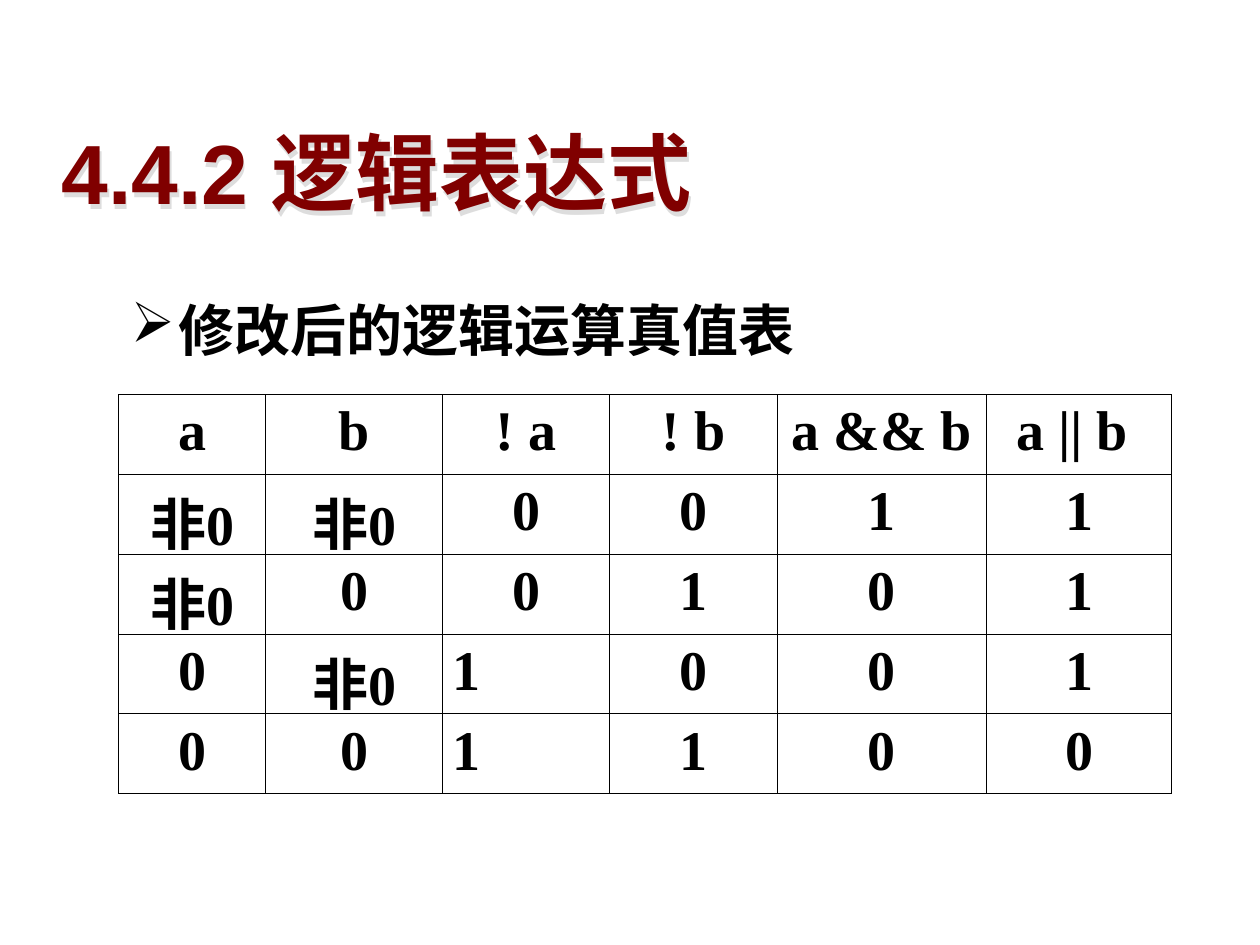
from lxml.etree import SubElement
from pptx import Presentation
from pptx.dml.color import RGBColor
from pptx.enum.text import MSO_ANCHOR, PP_ALIGN
from pptx.oxml import parse_xml
from pptx.oxml.ns import nsdecls, qn
from pptx.util import Inches, Pt

MAROON = RGBColor(0x80, 0x00, 0x00)
BLACK = RGBColor(0x00, 0x00, 0x00)
SHADOW = RGBColor(0xDD, 0xDD, 0xDD)

COLUMN_WIDTHS = (1.17, 1.4, 1.33, 1.33, 1.66, 1.47)
ROW_HEIGHT = 0.56
TRUTH_TABLE = (
    ("a", "b", "! a", "! b", "a && b", "a || b "),
    ("非0", "非0", "0", "0", "1", "1"),
    ("非0", "0", "0", "1", "0", "1"),
    ("0", "非0", "1", "0", "0", "1"),
    ("0", "0", "1", "1", "0", "0"),
)
JUSTIFIED_CELLS = {(3, 2), (4, 2)}


def add_bold_run(paragraph, text, size, font_name, color):
    """Add one bold run with the given font, size and colour."""
    run = paragraph.add_run()
    run.text = text
    run.font.size = Pt(size)
    run.font.name = font_name
    run.font.bold = True
    run.font.color.rgb = color


def place_title(title, left, top, width, height):
    """Move the title placeholder and give it shadowed text."""
    title.left, title.top, title.width, title.height = left, top, width, height
    title.text_frame.vertical_anchor = MSO_ANCHOR.MIDDLE
    paragraph = title.text_frame.paragraphs[0]
    paragraph.alignment = PP_ALIGN.LEFT
    add_bold_run(paragraph, "4.4.2 逻辑表达式", 48, "Arial", MAROON)
    title._element.spPr.append(parse_xml(
        f'<a:effectLst {nsdecls("a")}>'
        f'<a:outerShdw dist="{Inches(0.04)}" dir="4500000" algn="ctr" rotWithShape="0">'
        f'<a:srgbClr val="{SHADOW}"/></a:outerShdw></a:effectLst>'
    ))


def add_subtitle(slide, left, top, width, height):
    """Add the bulleted line above the table."""
    text_frame = slide.shapes.add_textbox(left, top, width, height).text_frame
    text_frame.word_wrap = True
    paragraph = text_frame.paragraphs[0]
    paragraph.line_spacing = 1.2
    properties = paragraph._p.get_or_add_pPr()
    properties.set("marL", str(Inches(0.38)))
    properties.set("indent", str(-Inches(0.38)))
    bullet_color = SubElement(properties, qn("a:buClr"))
    SubElement(bullet_color, qn("a:srgbClr"), val=str(BLACK))
    SubElement(properties, qn("a:buChar"), char="➢")
    add_bold_run(paragraph, "修改后的逻辑运算真值表", 32, "DejaVu Sans", BLACK)


def style_cell(cell):
    """Give a cell its margins, no fill and thin black borders."""
    cell.margin_left = cell.margin_right = Inches(0.08)
    cell.margin_top = cell.margin_bottom = Inches(0.05)
    cell.fill.background()
    properties = cell._tc.get_or_add_tcPr()
    for index, side in enumerate(("lnL", "lnR", "lnT", "lnB")):
        properties.insert(index, parse_xml(
            f'<a:{side} {nsdecls("a")} w="{Pt(0.45)}"><a:solidFill>'
            f'<a:srgbClr val="{BLACK}"/></a:solidFill></a:{side}>'
        ))


def add_truth_table(slide, left, top):
    """Add the truth table of the logical operators."""
    width = Inches(sum(COLUMN_WIDTHS))
    height = Inches(ROW_HEIGHT * len(TRUTH_TABLE))
    table = slide.shapes.add_table(
        len(TRUTH_TABLE), len(COLUMN_WIDTHS), left, top, width, height
    ).table
    table.first_row = table.horz_banding = False
    for column, column_width in zip(table.columns, COLUMN_WIDTHS):
        column.width = Inches(column_width)
    for row_index, values in enumerate(TRUTH_TABLE):
        table.rows[row_index].height = Inches(ROW_HEIGHT)
        for column_index, value in enumerate(values):
            cell = table.cell(row_index, column_index)
            style_cell(cell)
            paragraph = cell.text_frame.paragraphs[0]
            justified = (row_index, column_index) in JUSTIFIED_CELLS
            paragraph.alignment = PP_ALIGN.JUSTIFY if justified else PP_ALIGN.CENTER
            add_bold_run(paragraph, value, 32, "Times New Roman", BLACK)


def main():
    """Build the slide and save it."""
    presentation = Presentation()
    presentation.slide_width = Inches(10)
    presentation.slide_height = Inches(7.5)
    slide = presentation.slides.add_slide(presentation.slide_layouts[5])
    place_title(slide.shapes.title, Inches(0.39), Inches(0.91), Inches(9.22), Inches(0.9))
    add_subtitle(slide, Inches(0.94), Inches(2.19), Inches(6.17), Inches(0.86))
    add_truth_table(slide, Inches(0.94), Inches(3.13))
    presentation.save("out.pptx")


if __name__ == "__main__":
    main()
